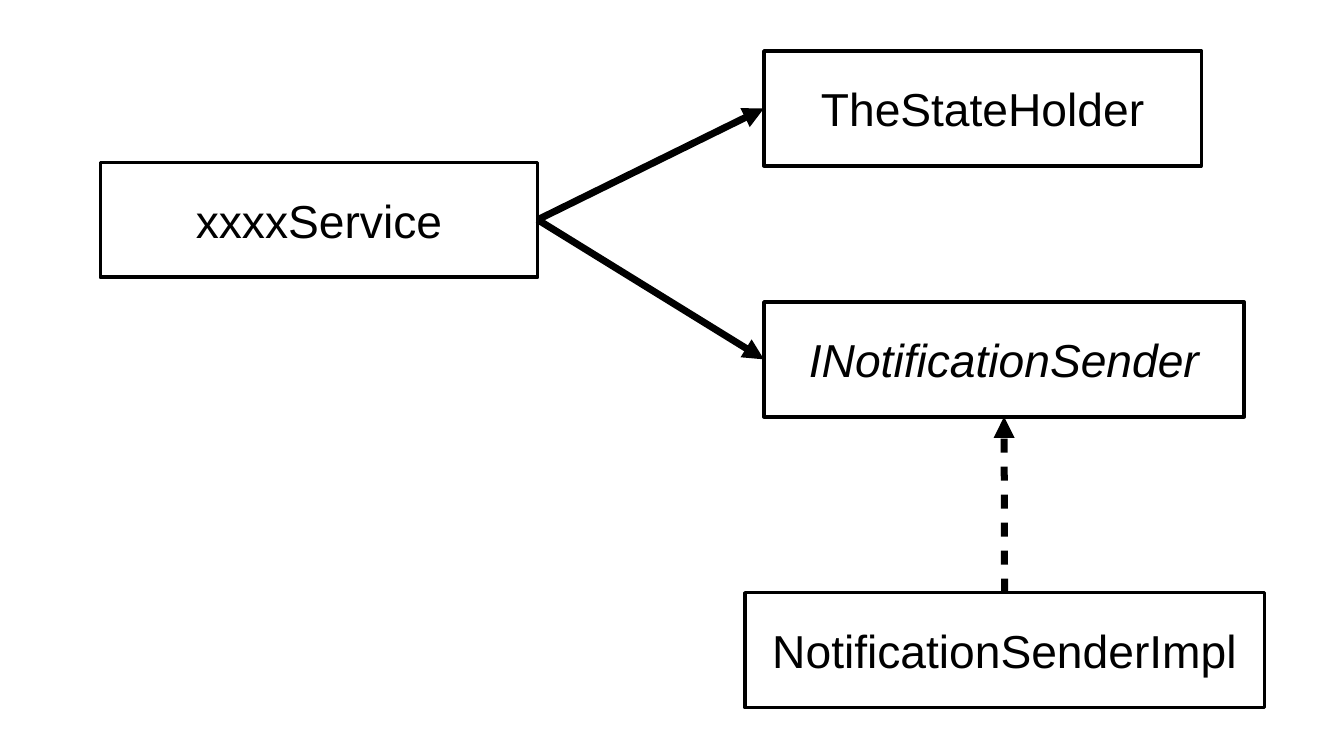
from lxml.etree import SubElement
from pptx import Presentation
from pptx.dml.color import RGBColor
from pptx.enum.shapes import MSO_CONNECTOR, MSO_SHAPE
from pptx.enum.text import MSO_ANCHOR, PP_ALIGN
from pptx.oxml.ns import qn
from pptx.util import Inches, Pt

BLACK = RGBColor(0x00, 0x00, 0x00)
WHITE = RGBColor(0xFF, 0xFF, 0xFF)
FONT = "Arial"
BOX_HEIGHT = 2.28
TOP, LEFT, BOTTOM, RIGHT = range(4)

# Classes: name, left, top, width, is an interface
CLASSES = [
    ("xxxxService", 1.99, 3.22, 8.68, False),
    ("INotificationSender", 15.16, 5.99, 9.53, True),
    ("NotificationSenderImpl", 14.78, 11.76, 10.31, False),
    ("TheStateHolder", 15.16, 1.01, 8.68, False),
]

# Relations: from, side, to, side, dashed
RELATIONS = [
    ("xxxxService", RIGHT, "TheStateHolder", LEFT, False),
    ("xxxxService", RIGHT, "INotificationSender", LEFT, False),
    ("NotificationSenderImpl", TOP, "INotificationSender", BOTTOM, True),
]


def add_class(slide, name, left, top, width, is_interface):
    box = slide.shapes.add_shape(
        MSO_SHAPE.RECTANGLE,
        Inches(left), Inches(top), Inches(width), Inches(BOX_HEIGHT))
    box.shadow.inherit = False
    box.fill.solid()
    box.fill.fore_color.rgb = WHITE
    box.line.color.rgb = BLACK
    box.line.width = Pt(5)

    frame = box.text_frame
    frame.margin_left = frame.margin_right = 0
    frame.margin_top = frame.margin_bottom = 0
    frame.vertical_anchor = MSO_ANCHOR.MIDDLE
    frame.word_wrap = False
    label = frame.paragraphs[0]
    label.text = name
    label.alignment = PP_ALIGN.CENTER
    label.font.name = FONT
    label.font.size = Pt(66)
    label.font.italic = is_interface
    label.font.color.rgb = BLACK
    return box


def add_relation(slide, source, source_side, target, target_side, dashed):
    arrow = slide.shapes.add_connector(MSO_CONNECTOR.STRAIGHT, 0, 0, 0, 0)
    arrow.begin_connect(source, source_side)
    arrow.end_connect(target, target_side)
    arrow.line.color.rgb = BLACK
    arrow.line.width = Pt(10)

    # Dashes and gaps twice the line width, arrowhead, no shadow
    properties = arrow._element.spPr
    line = properties.find(qn("a:ln"))
    if dashed:
        dashes = SubElement(line, qn("a:custDash"))
        SubElement(dashes, qn("a:ds"), d="200000", sp="200000")
    SubElement(line, qn("a:tailEnd"), type="triangle")
    SubElement(properties, qn("a:effectLst"))


def main():
    deck = Presentation()
    deck.slide_width, deck.slide_height = Inches(26.67), Inches(15)
    slide = deck.slides.add_slide(deck.slide_layouts[6])

    boxes = {entry[0]: add_class(slide, *entry) for entry in CLASSES}
    for source, source_side, target, target_side, dashed in RELATIONS:
        add_relation(slide, boxes[source], source_side,
                     boxes[target], target_side, dashed)

    deck.save("out.pptx")


if __name__ == "__main__":
    main()
